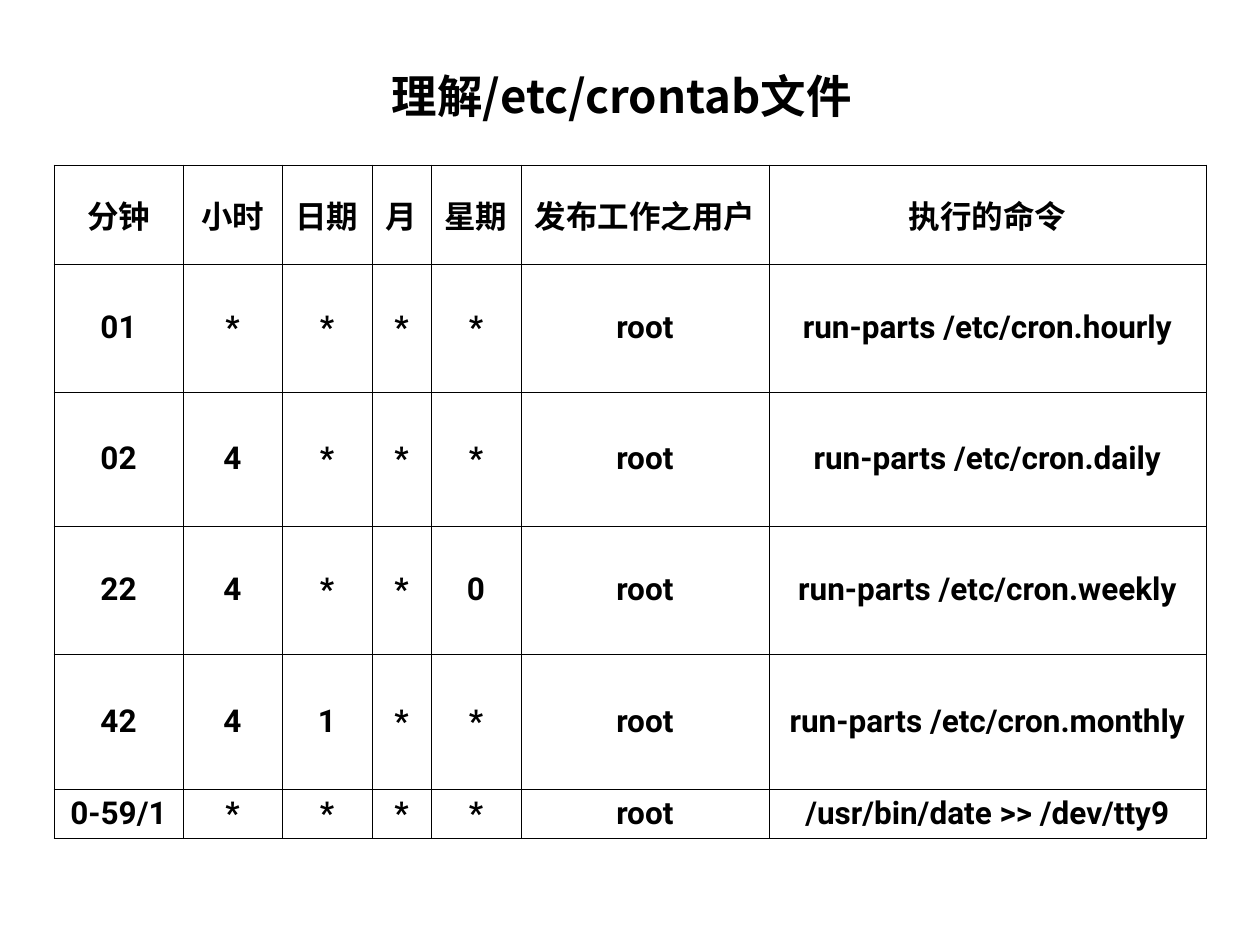
from dataclasses import dataclass

from lxml import etree
from pptx import Presentation
from pptx.dml.color import RGBColor
from pptx.enum.text import MSO_ANCHOR, MSO_AUTO_SIZE, PP_ALIGN
from pptx.oxml.ns import qn
from pptx.slide import Slide
from pptx.table import _Cell
from pptx.text.text import TextFrame
from pptx.util import Pt

CENTER = PP_ALIGN.CENTER
MIDDLE = MSO_ANCHOR.MIDDLE
NO_AUTOFIT = MSO_AUTO_SIZE.NONE

EMU_PER_PX = 914400 / 126
BLACK = "000000"
LATIN_FONT = "Roboto"
CHINESE_FONT = "Noto Sans CJK SC"
BORDER_POINTS = 0.45
TITLE_ONLY_LAYOUT = 5


@dataclass(frozen=True)
class Column:
    heading: str
    width: int


@dataclass(frozen=True)
class CronJob:
    minute: str
    hour: str
    day: str
    month: str
    weekday: str
    command: str
    height: int
    user: str = "root"

    def values(self) -> list[str]:
        return [self.minute, self.hour, self.day, self.month,
                self.weekday, self.user, self.command]


COLUMNS = [
    Column("分钟", 129),
    Column("小时", 99),
    Column("日期", 90),
    Column("月", 59),
    Column("星期", 90),
    Column("发布工作之用户", 248),
    Column("执行的命令", 437),
]
HEADING_HEIGHT = 99
JOBS = [
    CronJob("01", "*", "*", "*", "*", "run-parts /etc/cron.hourly", 128),
    CronJob("02", "4", "*", "*", "*", "run-parts /etc/cron.daily", 134),
    CronJob("22", "4", "*", "*", "0", "run-parts /etc/cron.weekly", 128),
    CronJob("42", "4", "1", "*", "*", "run-parts /etc/cron.monthly", 135),
    CronJob("0-59/1", "*", "*", "*", "*", "/usr/bin/date >> /dev/tty9", 50),
]


def px(length: int) -> int:
    return round(length * EMU_PER_PX)


def color(value: str) -> RGBColor:
    return RGBColor.from_string(value)


def write_text(frame: TextFrame, text: str, size: int, latin_font: str) -> None:
    paragraph = frame.paragraphs[0]
    paragraph.alignment = CENTER
    run = paragraph.add_run()
    run.text = text
    run.font.size = Pt(size)
    run.font.bold = True
    run.font.color.rgb = color(BLACK)
    run.font.name = latin_font
    east_asian = etree.Element(qn("a:ea"), typeface=CHINESE_FONT)
    run.font._element.find(qn("a:latin")).addnext(east_asian)


def add_borders(cell: _Cell) -> None:
    properties = cell._tc.get_or_add_tcPr()
    for index, side in enumerate(("lnL", "lnR", "lnT", "lnB")):
        line = etree.Element(qn(f"a:{side}"), w=str(Pt(BORDER_POINTS)))
        fill = etree.SubElement(line, qn("a:solidFill"))
        etree.SubElement(fill, qn("a:srgbClr"), val=BLACK)
        properties.insert(index, line)


def add_title(slide: Slide) -> None:
    title = slide.shapes.title
    title.left, title.top = px(76), px(52)
    title.width, title.height = px(1092), px(87)
    frame = title.text_frame
    frame.auto_size = NO_AUTOFIT
    frame.vertical_anchor = MIDDLE
    write_text(frame, "理解/etc/crontab文件", 26, CHINESE_FONT)


def add_schedule(slide: Slide) -> None:
    heights = [HEADING_HEIGHT] + [job.height for job in JOBS]
    rows = [[column.heading for column in COLUMNS]]
    rows += [job.values() for job in JOBS]
    table_width = sum(column.width for column in COLUMNS)
    table = slide.shapes.add_table(
        len(rows), len(COLUMNS), px(54), px(165),
        px(table_width), px(sum(heights)),
    ).table
    table.first_row = False
    table.horz_banding = False
    for table_column, column in zip(table.columns, COLUMNS):
        table_column.width = px(column.width)
    for table_row, height, values in zip(table.rows, heights, rows):
        table_row.height = px(height)
        for cell, value in zip(table_row.cells, values):
            cell.vertical_anchor = MIDDLE
            cell.fill.background()
            add_borders(cell)
            write_text(cell.text_frame, value, 18, LATIN_FONT)


def main() -> None:
    presentation = Presentation()
    presentation.slide_width = px(1260)
    presentation.slide_height = px(945)
    layout = presentation.slide_layouts[TITLE_ONLY_LAYOUT]
    slide = presentation.slides.add_slide(layout)
    add_title(slide)
    add_schedule(slide)
    presentation.save("out.pptx")


if __name__ == "__main__":
    main()
